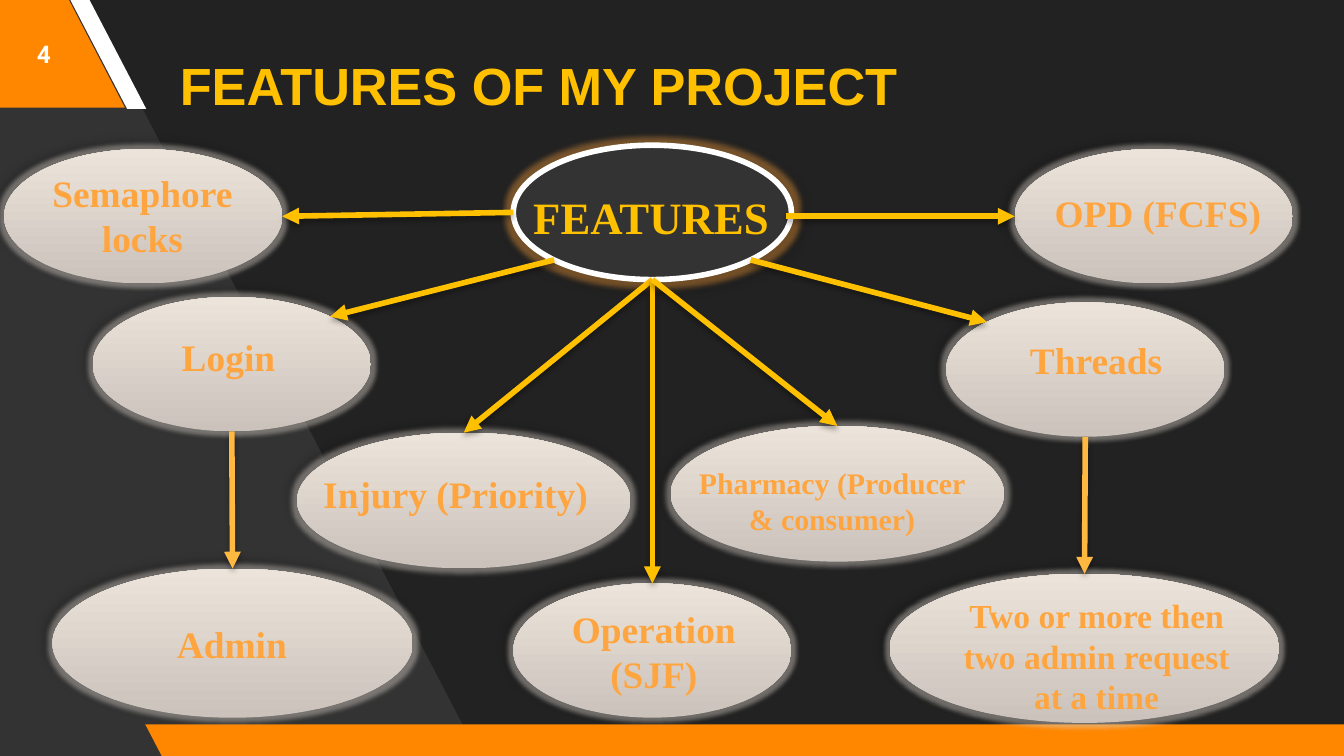
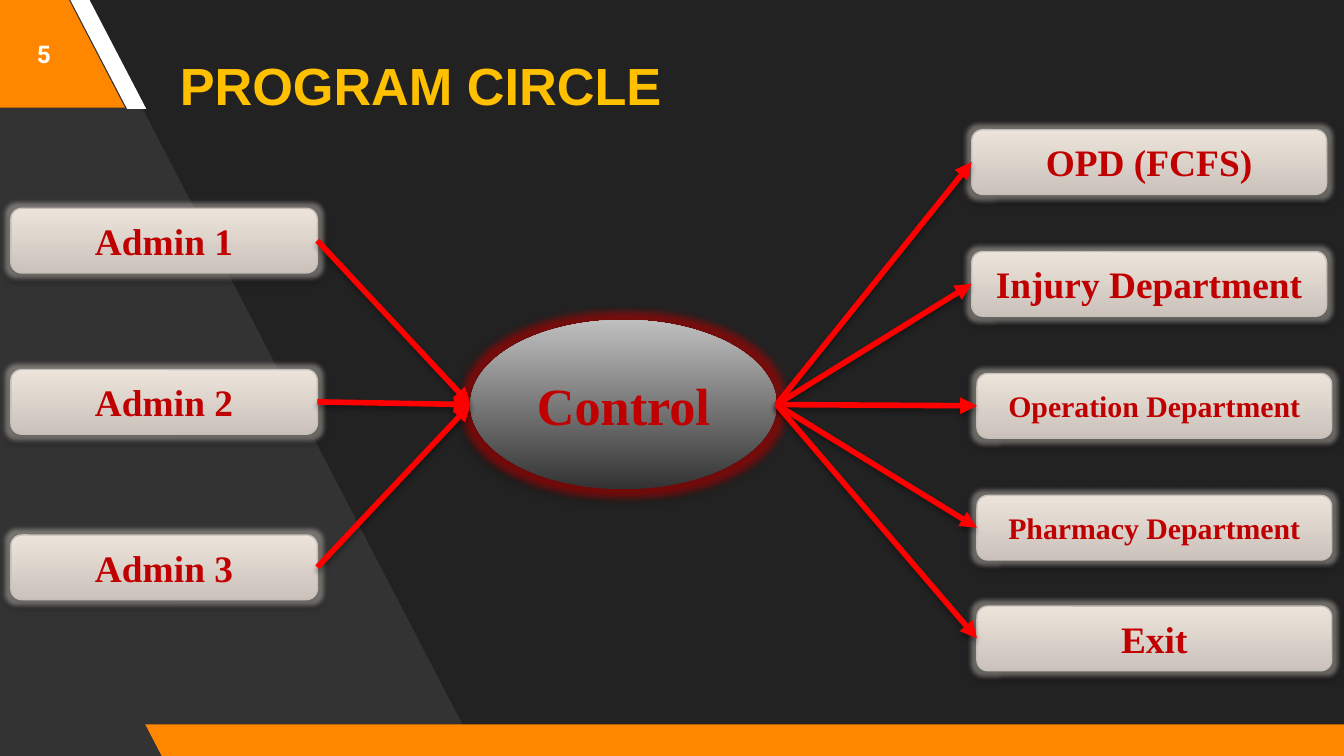
from dataclasses import dataclass
from math import sqrt

from lxml import etree
from pptx import Presentation
from pptx.dml.color import RGBColor
from pptx.enum.shapes import MSO_CONNECTOR, MSO_SHAPE
from pptx.enum.text import MSO_ANCHOR, MSO_AUTO_SIZE, PP_ALIGN
from pptx.oxml.ns import qn
from pptx.util import Pt

ELLIPSE = MSO_SHAPE.OVAL
ROUNDED = MSO_SHAPE.ROUNDED_RECTANGLE
PARALLELOGRAM = MSO_SHAPE.PARALLELOGRAM
STRAIGHT = MSO_CONNECTOR.STRAIGHT
LEFT, CENTER = PP_ALIGN.LEFT, PP_ALIGN.CENTER
MIDDLE = MSO_ANCHOR.MIDDLE
GROW = MSO_AUTO_SIZE.SHAPE_TO_FIT_TEXT


@dataclass(frozen=True)
class Theme:
    background: str = "222222"
    panel: str = "333333"
    band: str = "FF8700"
    white: str = "FFFFFF"
    title: str = "FFC000"
    label: str = "FFA540"
    sub_arrow: str = "FFB840"
    box_text: str = "C00000"
    box_line: str = "C5BFB9"
    red_arrow: str = "FF0000"
    shadow: str = "000000"
    light: tuple = ("CBC3BB", "ECE4DB")
    steel: tuple = ("333333", "BFBFBF")
    light_glow: tuple = ("ECE4DB", 40, 5)
    amber_glow: tuple = ("FFA540", 40, 6)
    red_glow: tuple = ("C00000", 55, 8)
    title_font: str = "Arial"
    number_font: str = "Roboto"
    body_font: str = "Times New Roman"
    title_size: int = 28
    number_size: int = 13
    center_size: int = 24
    body_size: int = 20
    medium_size: int = 18
    small_size: int = 16
    line_width: int = 3


def points(*lengths):
    return [Pt(length) for length in lengths]


def edge(shape, across, down):
    """Point on the outline of a shape, in points; diagonals suit ellipses."""
    scale = sqrt(0.5) if across and down else 1
    x = shape.left + shape.width / 2 * (1 + across * scale)
    y = shape.top + shape.height / 2 * (1 + down * scale)
    return x / Pt(1), y / Pt(1)


class Deck:
    def __init__(self, theme):
        self.theme = theme
        self.presentation = Presentation()
        self.presentation.slide_width, self.presentation.slide_height = points(720, 405)
        self.slide = None

    def start_slide(self, title, number):
        theme = self.theme
        self.slide = self.presentation.slides.add_slide(self.presentation.slide_layouts[6])
        fill = self.slide.background.fill
        fill.solid()
        fill.fore_color.rgb = RGBColor.from_string(theme.background)

        # Slanted panel and bands
        builder = self.slide.shapes.build_freeform(*points(256.3, 404.6))
        builder.add_line_segments(
            [points(44.6, -2.9), points(-4.3, -2.9), points(-1.4, 407.5)], close=True)
        self.paint(builder.convert_to_shape(), theme.panel)
        self.band((-71.3, -1.4, 138.2, 59), 0.52, theme.band)
        self.band((37.4, -0.7, 41, 59), 0.75, theme.white)
        self.band((77.8, 388, 658.8, 18), 0.52, theme.band)

        # Title and slide number
        self.heading(title, (89.3, 12.2, 603.4, 66.2), theme.title_font,
                     theme.title_size, theme.title, LEFT)
        self.heading(str(number), (0, 0, 46.8, 57.6), theme.number_font,
                     theme.number_size, theme.white, CENTER)

    def paint(self, shape, fill, line=None, line_width=0):
        """A single colour is solid; a pair runs from bottom to top."""
        if isinstance(fill, tuple):
            shape.fill.gradient()
            shape.fill.gradient_angle = 90
            for position, (stop, color) in enumerate(zip(shape.fill.gradient_stops, fill)):
                stop.position = position
                stop.color.rgb = RGBColor.from_string(color)
        else:
            shape.fill.solid()
            shape.fill.fore_color.rgb = RGBColor.from_string(fill)
        if line:
            shape.line.color.rgb = RGBColor.from_string(line)
            shape.line.width = Pt(line_width)
        else:
            shape.line.fill.background()
        shape.shadow.inherit = False

    def effect(self, shape, tag, color, alpha, **attributes):
        properties = shape._element.spPr
        effects = properties.find(qn("a:effectLst"))
        if effects is None:
            effects = etree.SubElement(properties, qn("a:effectLst"))
        node = etree.SubElement(effects, qn(tag))
        for name, value in attributes.items():
            node.set(name, str(int(value)))
        color_node = etree.SubElement(node, qn("a:srgbClr"), val=color)
        etree.SubElement(color_node, qn("a:alpha"), val=str(alpha * 1000))

    def cast_shadow(self, shape, alpha, blur, distance, angle):
        self.effect(shape, "a:outerShdw", self.theme.shadow, alpha,
                    blurRad=Pt(blur), dist=Pt(distance), dir=angle * 60000)

    def glow(self, shape, color, alpha, radius):
        self.effect(shape, "a:glow", color, alpha, rad=Pt(radius))

    def set_text(self, frame, text, font, size, color, alignment=CENTER):
        paragraph = frame.paragraphs[0]
        paragraph.text = text
        paragraph.alignment = alignment
        paragraph.font.name = font
        paragraph.font.size = Pt(size)
        paragraph.font.bold = True
        paragraph.font.color.rgb = RGBColor.from_string(color)

    def band(self, box, slant, color):
        shape = self.slide.shapes.add_shape(PARALLELOGRAM, *points(*box))
        shape.adjustments[0] = slant
        shape._element.spPr.find(qn("a:xfrm")).set("flipH", "1")
        self.paint(shape, color)

    def heading(self, text, box, font, size, color, alignment):
        frame = self.slide.shapes.add_textbox(*points(*box)).text_frame
        frame.word_wrap = True
        frame.vertical_anchor = MIDDLE
        frame.margin_top = frame.margin_bottom = Pt(7.2)
        self.set_text(frame, text, font, size, color, alignment)

    def label(self, text, box, size, color, wrap=True):
        frame = self.slide.shapes.add_textbox(*points(*box)).text_frame
        frame.word_wrap = wrap
        frame.auto_size = GROW
        self.set_text(frame, text, self.theme.body_font, size, color,
                      CENTER if wrap else LEFT)

    def ellipse(self, box, fill, glow, shadow_angle, line=None):
        shape = self.slide.shapes.add_shape(ELLIPSE, *points(*box))
        self.paint(shape, fill, line, self.theme.line_width)
        self.glow(shape, *glow)
        self.cast_shadow(shape, 40, 4, 3, shadow_angle)
        return shape

    def box(self, text, left, top, width, size):
        shape = self.slide.shapes.add_shape(ROUNDED, *points(left, top, width, 34.6))
        self.paint(shape, self.theme.light, self.theme.box_line, 0.75)
        self.glow(shape, *self.theme.light_glow)
        self.cast_shadow(shape, 55, 3, 2, 90)
        shape.text_frame.word_wrap = True
        shape.text_frame.vertical_anchor = MIDDLE
        self.set_text(shape.text_frame, text, self.theme.body_font, size, self.theme.box_text)
        return shape

    def arrow(self, begin, end, color):
        connector = self.slide.shapes.add_connector(STRAIGHT, *points(*begin, *end))
        connector.line.color.rgb = RGBColor.from_string(color)
        connector.line.width = Pt(self.theme.line_width)
        line_properties = connector._element.spPr.find(qn("a:ln"))
        etree.SubElement(line_properties, qn("a:tailEnd"), type="triangle")
        self.cast_shadow(connector, 35, 3.1, 1.8, 90)


theme = Theme()
deck = Deck(theme)

# Slide: features
deck.start_slide("FEATURES OF MY PROJECT", 4)
center = deck.ellipse((275, 77.8, 149, 72), theme.panel, theme.amber_glow, 45, theme.white)

# Each feature: ellipse box, label box, type size
regular, wide = (149, 72), (178.6, 72.7)
features = {
    "Threads": ((506.9, 162, *regular), (514.1, 177.1, 146.2, 31.7), theme.body_size),
    "Login": ((49.7, 159.1, *regular), (60.5, 175.7, 123.8, 31.7), theme.body_size),
    "Two or more then two admin request at a time":
        ((476.6, 307.4, 208.8, 79.9), (504, 315.4, 167, 72.7), theme.medium_size),
    "Admin": ((28.1, 304.6, 193, 79.9), (46.8, 329, 154.8, 31.7), theme.body_size),
    "Injury (Priority)": ((159.1, 231.8, *wide), (160.6, 249.1, 167, 31.7), theme.body_size),
    "OPD (FCFS)": ((543.6, 79.9, *regular), (547.2, 98.6, 146.2, 31.7), theme.body_size),
    "Semaphore locks": ((2.2, 79.9, *regular), (14.4, 87.8, 123.8, 55.4), theme.body_size),
    "Pharmacy (Producer & consumer)":
        ((359.3, 228.2, *wide), (362.2, 245.5, 167, 46.1), theme.small_size),
    "Operation (SJF)": ((275, 312.5, *regular), (277.2, 321.1, 146.2, 55.4), theme.body_size),
}
ovals = {name: deck.ellipse(oval_box, theme.light, theme.light_glow, 225)
         for name, (oval_box, _, _) in features.items()}

# Arrows from the centre, then from a feature to its detail
for name, start, finish in (
        ("Semaphore locks", (-1, 0), (1, 0)),
        ("Login", (-1, 1), (1, -1)),
        ("Injury (Priority)", (0, 1), (0, -1)),
        ("Operation (SJF)", (0, 1), (0, -1)),
        ("Pharmacy (Producer & consumer)", (0, 1), (0, -1)),
        ("Threads", (1, 1), (-1, -1))):
    deck.arrow(edge(center, *start), edge(ovals[name], *finish), theme.title)
deck.arrow((421.2, 115.9), edge(ovals["OPD (FCFS)"], -1, 0), theme.title)
for feature, detail in (("Login", "Admin"),
                        ("Threads", "Two or more then two admin request at a time")):
    deck.arrow(edge(ovals[feature], 0, 1), edge(ovals[detail], 0, -1), theme.sub_arrow)

# Labels
deck.label("FEATURES", (278.6, 97.9, 141.8, 36), theme.center_size, theme.title, wrap=False)
for name, (_, label_box, size) in features.items():
    deck.label(name, label_box, size, theme.label)

# Slide: program circle
deck.start_slide("PROGRAM CIRCLE", 5)
control = deck.ellipse((252, 171.4, 164, 90.7), theme.steel, theme.red_glow, 135)
control.text_frame.vertical_anchor = MIDDLE
deck.set_text(control.text_frame, "Control", theme.body_font, theme.title_size, theme.box_text)

# Admins lead into control
for number, top in enumerate((111.6, 198, 286.6), start=1):
    admin = deck.box(f"Admin {number}", 5.8, top, 164.2, theme.body_size)
    deck.arrow(edge(admin, 1, 0), edge(control, -1, 0), theme.red_arrow)

# Control leads to the departments
for name, left, top, size in (
        ("OPD (FCFS)", 520.6, 69.5, theme.body_size),
        ("Injury Department", 520.6, 134.8, theme.body_size),
        ("Operation Department", 523.4, 200.1, theme.small_size),
        ("Pharmacy Department", 523.4, 265.4, theme.small_size),
        ("Exit", 523.4, 324.7, theme.body_size)):
    department = deck.box(name, left, top, 190.1, size)
    deck.arrow(edge(control, 1, 0), edge(department, -1, 0), theme.red_arrow)

deck.presentation.save("out.pptx")
